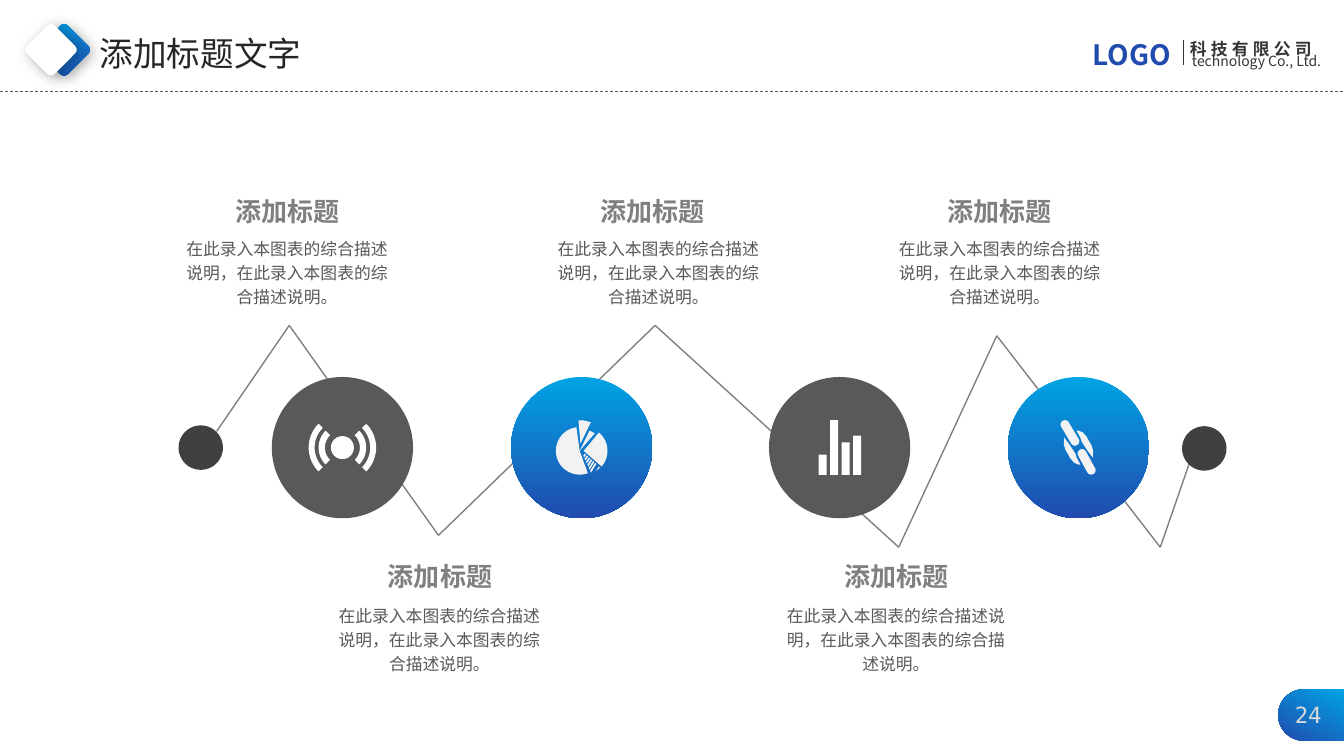
from math import cos, radians, sin

from lxml.etree import SubElement
from pptx import Presentation
from pptx.dml.color import RGBColor
from pptx.enum.dml import MSO_LINE
from pptx.enum.shapes import MSO_CONNECTOR, MSO_SHAPE
from pptx.enum.text import MSO_ANCHOR, MSO_AUTO_SIZE, PP_ALIGN
from pptx.oxml.ns import qn
from pptx.util import Cm, Pt

DEEP_BLUE = RGBColor(0x21, 0x4B, 0xAE)
SKY_BLUE = RGBColor(0x00, 0xA3, 0xE4)
INK = RGBColor(0x26, 0x26, 0x26)
LOGO_INK = RGBColor(0x34, 0x36, 0x34)
CHARCOAL = RGBColor(0x40, 0x40, 0x40)
SLATE = RGBColor(0x59, 0x59, 0x59)
GREY = RGBColor(0x80, 0x80, 0x80)
SILVER = RGBColor(0xD9, 0xD9, 0xD9)
PALE = RGBColor(0xF2, 0xF2, 0xF2)
WHITE = RGBColor(0xFF, 0xFF, 0xFF)
SANS = "Noto Sans CJK SC"
MONO = "DejaVu Sans Mono"
PAGE_WIDTH, PAGE_HEIGHT = 33.87, 19.05
DISC_SIZE, DISC_Y = 3.56, 11.28


def arc(x, y, radius, start, end, steps=24):
    angles = [radians(start + (end - start) * i / steps) for i in range(steps + 1)]
    return [(x + radius * cos(a), y + radius * sin(a)) for a in angles]


def between(first, last, share):
    return tuple(a + (b - a) * share for a, b in zip(first, last))


def radio_icon():
    contours = [arc(0, 0, 0.29, 0, 360)]
    for inner, outer in ((0.44, 0.6), (0.7, 0.85)):
        for middle in (0, 180):
            low, high = middle - 45, middle + 45
            contours.append(arc(0, 0, outer, low, high) + arc(0, 0, inner, high, low))
    return contours


def pie_icon():
    contours = [
        [(-0.05, 0.08)] + arc(-0.05, 0.08, 0.6, 70, 262),
        [(0.05, 0.08)] + arc(0.05, 0.08, 0.6, -50, 41),
        [(-0.05, 0.08), (0.2, -0.43), (0.33, -0.36)],
        [(-0.03, -0.1), (-0.08, -0.69), (0.03, -0.69), (0.23, -0.64)],
        [(0.46, 0.51), (0.36, 0.58), (0.43, 0.48)],
    ]
    lower, upper = ((0.04, 0.2), (0.25, 0.66)), ((0.08, 0.15), (0.39, 0.43))
    for stripe in range(6):
        near, far = stripe / 6, (stripe + 0.6) / 6
        contours.append([between(*lower, near), between(*upper, near),
                         between(*upper, far), between(*lower, far)])
    return contours


def bar_icon():
    contours = []
    for i, top in enumerate((0.18, -0.69, -0.13, -0.3)):
        left = -0.53 + 0.29 * i
        contours.append([(left, top), (left + 0.2, top), (left + 0.2, 0.69), (left, 0.69)])
    return contours


def chain_icon():
    side = [(-0.05, -0.43), (0, -0.43), (0.11, -0.38), (0.2, -0.28), (0.33, -0.05),
            (0.37, 0.08), (0.36, 0.25), (0.23, 0.08), (0.08, -0.15), (0.05, -0.25)]
    links = [((-0.34, -0.58), (-0.09, -0.16)), ((0.09, 0.15), (0.32, 0.57))]
    capsules = [arc(*end, 0.11, -30, 150) + arc(*start, 0.11, 150, 330) for start, end in links]
    return capsules + [side, [(-x, -y) for x, y in side]]


class SlideBuilder:
    def __init__(self, deck):
        self.page = deck.slides.add_slide(deck.slide_layouts[5])
        self.shapes = self.page.shapes

    def paint(self, shape, fill, angle=270):
        shape.shadow.inherit = False
        shape.line.fill.background()
        if isinstance(fill, RGBColor):
            shape.fill.solid()
            shape.fill.fore_color.rgb = fill
            return
        shape.fill.gradient()
        shape.fill.gradient_angle = angle
        for stop, color in zip(shape.fill.gradient_stops, fill):
            stop.color.rgb = color

    def preset(self, kind, left, top, size, fill, angle=270):
        shape = self.shapes.add_shape(kind, Cm(left), Cm(top), Cm(size), Cm(size))
        self.paint(shape, fill, angle)
        return shape

    def diamond(self, left, fill):
        shape = self.preset(MSO_SHAPE.ROUNDED_RECTANGLE, left, 0.76, 0.99, fill, 340)
        shape.adjustments[0] = 0.125
        shape.rotation = 45
        effects = shape._element.spPr.find(qn("a:effectLst"))
        shadow = SubElement(effects, qn("a:outerShdw"), blurRad=str(Pt(10)), dist=str(Pt(3)),
                            dir="2700000", algn="tl", rotWithShape="0")
        color = SubElement(shadow, qn("a:srgbClr"), val="000000")
        SubElement(color, qn("a:alpha"), val="30000")

    def outline(self, contours, fill, x=0, y=0, angle=270):
        placed = [[(Cm(x + dx), Cm(y + dy)) for dx, dy in contour] for contour in contours]
        builder = self.shapes.build_freeform(*placed[0][0], scale=1.0)
        builder.add_line_segments(placed[0][1:], close=True)
        for contour in placed[1:]:
            builder.move_to(*contour[0])
            builder.add_line_segments(contour[1:], close=True)
        self.paint(builder.convert_to_shape(), fill, angle)

    def line(self, start, end, color, width=1, dash=None):
        connector = self.shapes.add_connector(
            MSO_CONNECTOR.STRAIGHT, *[Cm(length) for length in (*start, *end)])
        for name, value in {"width": Pt(width), "dash_style": dash}.items():
            setattr(connector.line, name, value)
        connector.line.color.rgb = color
        SubElement(connector._element.spPr, qn("a:effectLst"))

    def fill_text(self, box, text, size, color, bold=False, align=PP_ALIGN.LEFT, font=SANS,
                  wrap=False, anchor=MSO_ANCHOR.TOP, spacing=1.0, tracking=0):
        frame = box.text_frame
        frame_format = {"word_wrap": wrap, "auto_size": MSO_AUTO_SIZE.NONE,
                        "vertical_anchor": anchor}
        para = frame.paragraphs[0]
        span = para.add_run()
        span.text = text
        formats = [
            (frame, frame_format),
            (para, {"alignment": align, "line_spacing": spacing}),
            (span.font, {"name": font, "size": Pt(size), "bold": bold}),
        ]
        for target, values in formats:
            for name, value in values.items():
                setattr(target, name, value)
        span.font.color.rgb = color
        properties = span._r.get_or_add_rPr()
        SubElement(properties, qn("a:ea"), typeface=font)
        if tracking:
            properties.set("spc", str(tracking * 100))

    def text(self, left, top, width, height, *content, **style):
        box = self.shapes.add_textbox(Cm(left), Cm(top), Cm(width), Cm(height))
        self.fill_text(box, *content, **style)

    def title(self, text):
        box = self.shapes.title
        for name, value in {"left": 2.26, "top": 0.69, "width": 5.64, "height": 1.27}.items():
            setattr(box, name, Cm(value))
        self.fill_text(box, text, 24, INK, anchor=MSO_ANCHOR.MIDDLE)

    def caption(self, title_left, title_top, body_left, body_top, body_width):
        self.text(title_left, title_top, 3.18, 1.07, "添加标题", 18.6, GREY,
                  bold=True, align=PP_ALIGN.CENTER)
        self.text(body_left, body_top, body_width, 2.11,
                  "在此录入本图表的综合描述说明，在此录入本图表的综合描述说明。", 12, SLATE,
                  align=PP_ALIGN.CENTER, wrap=True, spacing=1.2)


def main():
    deck = Presentation()
    deck.slide_width, deck.slide_height = Cm(PAGE_WIDTH), Cm(PAGE_HEIGHT)
    slide = SlideBuilder(deck)
    slide.title("添加标题文字")

    tab = arc(32.86, 18.02, 0.65, 90, 270) + [(PAGE_WIDTH, 17.37), (PAGE_WIDTH, 18.67)]
    slide.outline([tab], (DEEP_BLUE, SKY_BLUE), angle=60)
    slide.text(32.13, 17.55, 1.68, 0.94, "24", 16, SILVER, align=PP_ALIGN.CENTER, font=MONO)

    slide.text(29.74, 0.84, 4.1, 0.76, "科技有限公司", 12, LOGO_INK, bold=True, tracking=3)
    slide.text(29.79, 1.19, 4.05, 0.69, "technology Co., Ltd.", 10, LOGO_INK)
    slide.text(27.28, 0.81, 2.87, 1.12, "LOGO", 20, DEEP_BLUE, bold=True)
    slide.line((29.82, 1.02), (29.82, 1.65), LOGO_INK)
    slide.line((0, 2.31), (PAGE_WIDTH, 2.31), SLATE, 0.5, MSO_LINE.DASH)
    slide.diamond(1.12, (SKY_BLUE, DEEP_BLUE))
    slide.diamond(0.79, WHITE)

    zigzag = [(5.46, 10.87), (7.29, 8.2), (11.05, 13.49), (16.51, 8.2),
              (22.65, 13.79), (25.12, 8.46), (29.24, 13.79), (29.97, 11.68)]
    for start, end in zip(zigzag, zigzag[1:]):
        slide.line(start, end, GREY)
    for left, top in ((29.79, 10.74), (4.5, 10.72)):
        slide.preset(MSO_SHAPE.OVAL, left, top, 1.12, CHARCOAL)

    blue = (SKY_BLUE, DEEP_BLUE)
    discs = [(8.63, SLATE, radio_icon, WHITE), (14.66, blue, pie_icon, PALE),
             (21.16, SLATE, bar_icon, WHITE), (27.18, blue, chain_icon, PALE)]
    for x, fill, icon, icon_fill in discs:
        slide.preset(MSO_SHAPE.OVAL, x - DISC_SIZE / 2, DISC_Y - DISC_SIZE / 2, DISC_SIZE, fill)
        slide.outline(icon(), icon_fill, x, DISC_Y)

    upper_row = [(5.66, 4.29, 5.89), (14.86, 13.79, 5.61), (23.6, 22.2, 5.99)]
    lower_row = [(9.5, 8.13, 5.89), (21.01, 19.38, 6.4)]
    for row, title_top, body_top in ((upper_row, 4.8, 5.79), (lower_row, 14, 15.04)):
        for title_left, body_left, body_width in row:
            slide.caption(title_left, title_top, body_left, body_top, body_width)
    deck.save("out.pptx")


if __name__ == "__main__":
    main()
